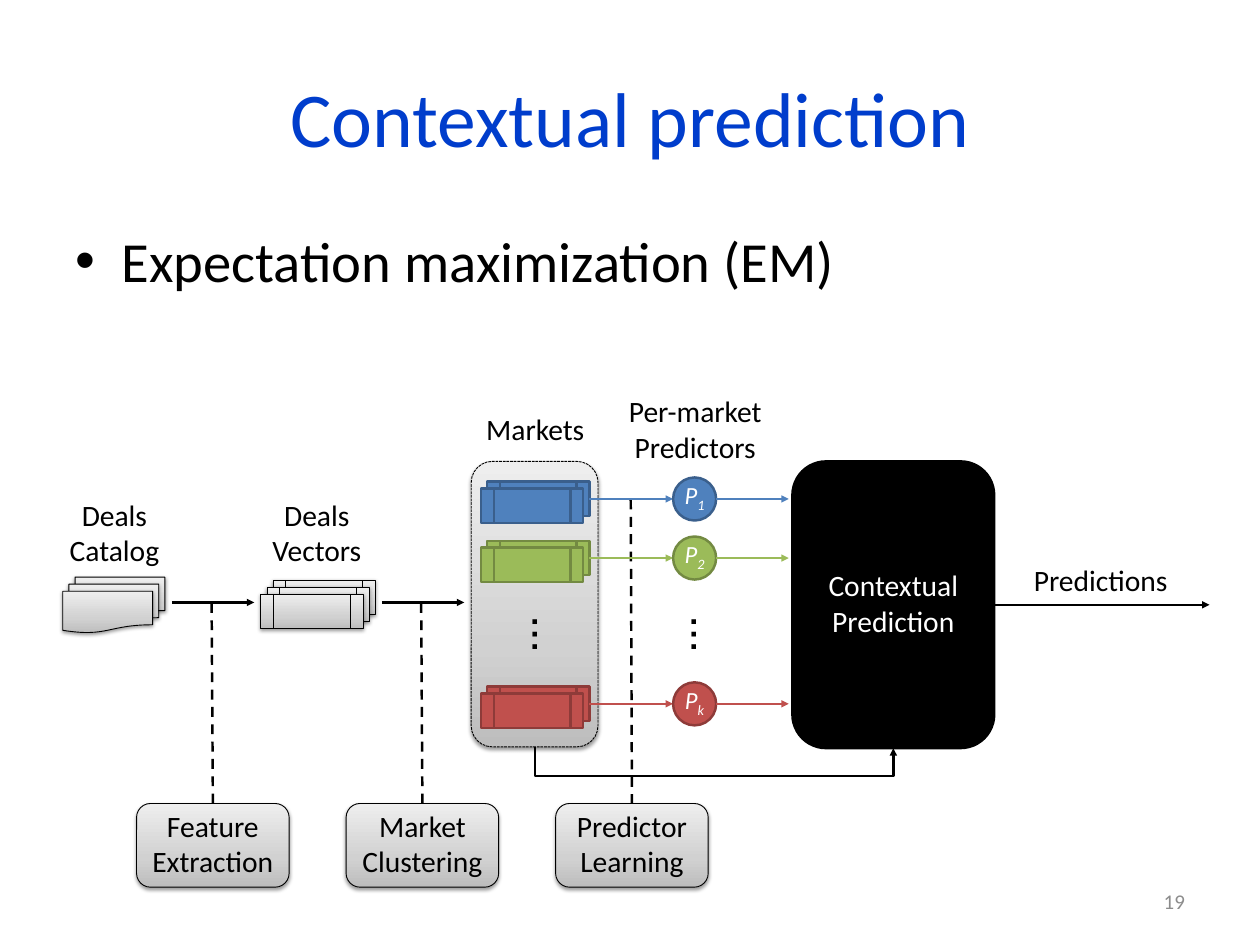
import pptx
import pptx.dml.color
import pptx.enum.dml
import pptx.enum.shapes
import pptx.enum.text
import pptx.oxml
import pptx.oxml.ns
import pptx.util

Pt = pptx.util.Pt
color = pptx.dml.color.RGBColor.from_string
SHAPE = pptx.enum.shapes.MSO_SHAPE
CONNECTOR = pptx.enum.shapes.MSO_CONNECTOR
DASH = pptx.enum.dml.MSO_LINE
ALIGN = pptx.enum.text.PP_ALIGN
MIDDLE = pptx.enum.text.MSO_ANCHOR.MIDDLE
NS = pptx.oxml.ns.nsdecls("a")
GRADIENT = (f'<a:gradFill {NS} rotWithShape="1"><a:gsLst>'
            '<a:gs pos="0"><a:srgbClr val="BDBDBD"/></a:gs>'
            '<a:gs pos="35000"><a:srgbClr val="D1D1D1"/></a:gs>'
            '<a:gs pos="100000"><a:srgbClr val="EEEEEE"/></a:gs>'
            '</a:gsLst><a:lin ang="16200000" scaled="0"/></a:gradFill>')
SHADOW = (f'<a:effectLst {NS}><a:outerShdw blurRad="39400" dist="20300" dir="5400000" rotWithShape="0">'
          '<a:srgbClr val="000000"><a:alpha val="38000"/></a:srgbClr></a:outerShdw></a:effectLst>')
PLACEHOLDER = {"margin_left": Pt(10), "margin_right": Pt(10), "margin_top": Pt(5), "margin_bottom": Pt(5)}
CENTERED = {"vertical_anchor": MIDDLE, "margin_top": 0}
DOTS = {"margin_top": 0, "margin_bottom": Pt(29.5)}

prs = pptx.Presentation()
prs.slide_width, prs.slide_height = Pt(1024), Pt(768)
slide = prs.slides.add_slide(prs.slide_layouts[6])


def add_part(kind, box, text="", size=24, ink="000000", fill=None, outline="000000",
             weight=0.75, font="Calibri", align=ALIGN.CENTER, frame={}):
    """Add a text box (kind None) or a shape; without a fill colour it is shaded grey."""
    box = [Pt(v) for v in box]
    if kind is None:
        part = slide.shapes.add_textbox(*box)
    else:
        part = slide.shapes.add_shape(kind, *box)
        part.line.color.rgb = color(outline)
        part.line.width = Pt(weight)
        if fill:
            part.shadow.inherit = False
            part.fill.solid()
            part.fill.fore_color.rgb = color(fill)
        else:
            part._element.spPr.insert(2, pptx.oxml.parse_xml(GRADIENT))
            part._element.spPr.append(pptx.oxml.parse_xml(SHADOW))
    if text:
        for name, value in {"word_wrap": True, **frame}.items():
            setattr(part.text_frame, name, value)
        paragraph = part.text_frame.paragraphs[0]
        paragraph.alignment = align
        run = paragraph.add_run()
        run.text = text
        for name, value in {"size": Pt(size), "name": font}.items():
            setattr(run.font, name, value)
        run.font.color.rgb = color(ink)
    return part


def add_link(start, end, ink="000000", dash=None, arrow=True, kind=CONNECTOR.STRAIGHT):
    link = slide.shapes.add_connector(kind, *[Pt(v) for v in (*start, *end)])
    link.line.color.rgb = color(ink)
    link.line.width = Pt(2)
    if dash:
        link.line.dash_style = dash
    if arrow:
        link.line._get_or_add_ln().append(pptx.oxml.parse_xml(f'<a:tailEnd {NS} type="triangle"/>'))
    link._element.spPr.append(pptx.oxml.parse_xml(f"<a:effectLst {NS}/>"))
    return link


# Title, bullet and slide number
add_part(None, (51, 31, 922, 128), "Contextual prediction", 63, "003DCC",
         frame={**PLACEHOLDER, "vertical_anchor": MIDDLE})
bullet = add_part(None, (51, 179, 922, 507), "Expectation maximization (EM)", 46,
                  align=ALIGN.LEFT, frame=PLACEHOLDER)
bullet_format = bullet.text_frame.paragraphs[0]._p.get_or_add_pPr()
bullet_format.set("marL", str(Pt(38)))
bullet_format.set("indent", str(-Pt(38)))
bullet_format.append(pptx.oxml.parse_xml(f'<a:buFont {NS} typeface="Arial"/>'))
bullet_format.append(pptx.oxml.parse_xml(f'<a:buChar {NS} char="•"/>'))
add_part(None, (734, 712, 239, 41), "19", 17, "8C8C8C", align=ALIGN.RIGHT,
         frame={**PLACEHOLDER, "vertical_anchor": MIDDLE})

# Contextual prediction box and its output
prediction = add_part(SHAPE.ROUNDED_RECTANGLE, (644, 375, 164, 233), "Contextual Prediction",
                      ink="FFFFFF", fill="000000", weight=2, frame=CENTERED)
add_link((808, 491.5), (983, 491.5)).begin_connect(prediction, 3)

# Bent arrow from the markets to the prediction box, turned by 270 degrees
bend = add_link((581, 462), (580, 753), kind=CONNECTOR.ELBOW)
bend._element.spPr.xfrm.set("rot", "16200000")
bend._element.spPr.prstGeom.get_or_add_avLst().append(
    pptx.oxml.parse_xml(f'<a:gd {NS} name="adj1" fmla="val 2400000"/>'))

# Processing steps, each with a dashed line up to the flow
for i, (step, flow_y) in enumerate([("Feature Extraction", 490), ("Market Clustering", 490),
                                    ("Predictor Learning", 406)]):
    left = 111 + 170.3 * i
    step_box = add_part(SHAPE.ROUNDED_RECTANGLE, (left, 653, 124, 68), step, frame=CENTERED)
    add_link((left + 61, flow_y), (left + 62, 653), dash=DASH.DASH, arrow=False).end_connect(step_box, 0)

# Markets panel
markets = add_part(SHAPE.ROUNDED_RECTANGLE, (383, 375, 103, 232))
markets.line.dash_style = DASH.SQUARE_DOT

# One row per market: stacked vectors, predictor, arrows
for y, index, fill, outline in [(405.5, "1", "4F81BD", "3A5F8C"), (453.5, "2", "9BBB59", "738A42"),
                                (572, "k", "C0504D", "8E3B39")]:
    back, front = [add_part(SHAPE.FLOWCHART_PREDEFINED_PROCESS,
                            (396 - 5 * n, y - 14 + 5.5 * n, 83, 28),
                            fill=fill, outline=outline, weight=2) for n in range(2)]
    add_link((479, y), (547, y), fill).begin_connect(back, 3)
    predictor = add_part(SHAPE.OVAL, (547, y - 17.5, 35, 35), "P", 20, "FFFFFF", fill, outline, 2,
                         frame={**CENTERED, "margin_left": 0, "margin_right": 0})
    letters = predictor.text_frame.paragraphs[0]
    subscript = letters.add_run()
    subscript.text = index
    subscript._r.get_or_add_rPr().set("baseline", "-25000")
    for run in letters.runs:
        for name, value in {"size": Pt(20), "name": "Calibri", "italic": True}.items():
            setattr(run.font, name, value)
        run.font.color.rgb = color("FFFFFF")
    add_link((582, y), (641, y), fill)

# Vertical dots below the markets and the predictors
for left in (406, 535.5):
    dots = add_part(None, (left, 474.5, 57.5, 82), "…", 43, font="Cabin", frame=DOTS)
    dots.rotation = 270

# Stacks of deals
for kind, left, top, width, height in [(SHAPE.FLOWCHART_DOCUMENT, 61, 469, 73, 34),
                                       (SHAPE.FLOWCHART_PREDEFINED_PROCESS, 222, 471.5, 83, 28)]:
    for n in range(3):
        add_part(kind, (left - 5 * n, top + 5.75 * n, width, height))

# Flow arrows between the stages
for left in (139.7, 310.3):
    add_link((left, 489.6), (left + 67, 489.6))

# Stage labels
for label, box in [("Deals Catalog", (42, 400, 102, 66)), ("Deals Vectors", (206.5, 400, 102, 66)),
                   ("Markets", (384, 330.5, 102, 36)), ("Per-market Predictors", (491, 316, 148, 66)),
                   ("Predictions", (829.5, 453, 130, 36))]:
    add_part(None, box, label)

prs.save("out.pptx")
